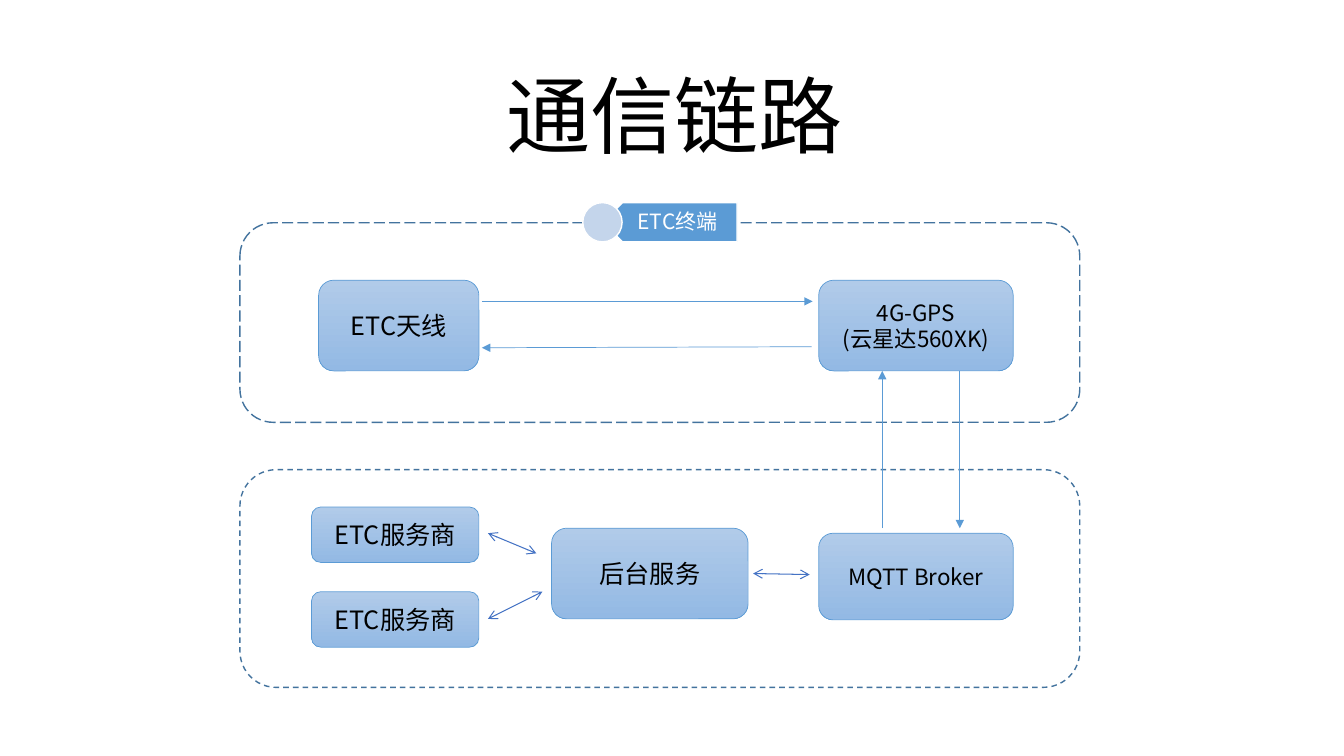
from dataclasses import dataclass

from lxml import etree
from pptx import Presentation
from pptx.dml.color import RGBColor
from pptx.enum.dml import MSO_LINE
from pptx.enum.shapes import MSO_CONNECTOR, MSO_SHAPE
from pptx.enum.text import MSO_ANCHOR, PP_ALIGN
from pptx.oxml.ns import qn
from pptx.util import Inches, Pt

ROUNDED = MSO_SHAPE.ROUNDED_RECTANGLE
PENTAGON = MSO_SHAPE.PENTAGON
OVAL = MSO_SHAPE.OVAL
STRAIGHT = MSO_CONNECTOR.STRAIGHT
LONG_DASH = MSO_LINE.LONG_DASH
DASH = MSO_LINE.DASH
CENTER = PP_ALIGN.CENTER
MIDDLE = MSO_ANCHOR.MIDDLE
BOTTOM = MSO_ANCHOR.BOTTOM


@dataclass(frozen=True)
class Theme:
    font: str = "Noto Sans CJK SC"
    text: str = "000000"
    white: str = "FFFFFF"
    frame: str = "43739E"
    accent: str = "5B9BD5"
    exchange: str = "4472C4"
    dot: str = "C4D5EB"
    box_top: str = "B1CBE9"
    box_bottom: str = "93B9E4"
    title_size: float = 60
    large_size: float = 18
    medium_size: float = 16
    tag_size: float = 15


THEME = Theme()


@dataclass(frozen=True)
class Area:
    left: float
    top: float
    width: float
    height: float

    def lengths(self) -> list:
        return [Inches(value) for value in (self.left, self.top, self.width, self.height)]


@dataclass(frozen=True)
class Node:
    text: str
    area: Area
    size: float = THEME.large_size


@dataclass(frozen=True)
class Link:
    start: tuple[float, float]
    end: tuple[float, float]
    two_way: bool = False


FRAMES = [
    (Area(2.38, 2.21, 8.33, 1.98), LONG_DASH),
    (Area(2.38, 4.66, 8.33, 2.16), DASH),
]

NODES = [
    Node("ETC天线", Area(3.16, 2.78, 1.59, 0.9)),
    Node("4G-GPS\n(云星达560XK)", Area(8.12, 2.78, 1.93, 0.9), THEME.medium_size),
    Node("ETC服务商", Area(3.09, 5.03, 1.66, 0.55)),
    Node("ETC服务商", Area(3.09, 5.87, 1.66, 0.55)),
    Node("后台服务", Area(5.47, 5.24, 1.95, 0.9)),
    Node("MQTT Broker", Area(8.12, 5.29, 1.93, 0.86), THEME.medium_size),
]

LINKS = [
    Link((4.78, 2.99), (8.06, 2.99)),
    Link((8.05, 3.44), (4.78, 3.45)),
    Link((9.52, 3.68), (9.52, 5.24)),
    Link((8.75, 5.24), (8.75, 3.68)),
    Link((7.47, 5.69), (8.03, 5.7), two_way=True),
    Link((4.84, 5.29), (5.32, 5.49), two_way=True),
    Link((4.84, 6.14), (5.38, 5.87), two_way=True),
]


def color(value: str) -> RGBColor:
    return RGBColor.from_string(value)


def write_text(shape, text: str, *, size: float, fill: str = THEME.text,
               anchor=MIDDLE, spacing: float = 1.0,
               insets: tuple = (0.1, 0.05, 0.1, 0.05)) -> None:
    frame = shape.text_frame
    frame.word_wrap = True
    frame.vertical_anchor = anchor
    frame.margin_left, frame.margin_top, frame.margin_right, frame.margin_bottom = map(Inches, insets)
    frame.text = text
    for paragraph in frame.paragraphs:
        paragraph.alignment = CENTER
        paragraph.line_spacing = spacing
        for run in paragraph.runs:
            run.font.size = Pt(size)
            run.font.name = THEME.font
            run.font.color.rgb = color(fill)
            east_asian = etree.SubElement(run.font._element, qn("a:ea"))
            east_asian.set("typeface", THEME.font)


def add_shape(slide, kind, area: Area, *, line: str, width: float = 1, fill: str | None = None):
    shape = slide.shapes.add_shape(kind, *area.lengths())
    shape.shadow.inherit = False
    shape.line.color.rgb = color(line)
    shape.line.width = Pt(width)
    if fill:
        shape.fill.solid()
        shape.fill.fore_color.rgb = color(fill)
    else:
        shape.fill.background()
    return shape


def add_label(slide, text: str, area: Area, **text_format) -> None:
    write_text(slide.shapes.add_textbox(*area.lengths()), text, **text_format)


def add_node(slide, node: Node) -> None:
    shape = add_shape(slide, ROUNDED, node.area, line=THEME.accent, width=0.5)
    shape.fill.gradient()
    shape.fill.gradient_angle = 270
    for stop, shade, position in zip(shape.fill.gradient_stops, (THEME.box_top, THEME.box_bottom), (0, 1)):
        stop.color.rgb = color(shade)
        stop.position = position
    write_text(shape, node.text, size=node.size)


def add_link(slide, link: Link) -> None:
    connector = slide.shapes.add_connector(STRAIGHT, *map(Inches, link.start + link.end))
    connector.line.color.rgb = color(THEME.exchange if link.two_way else THEME.accent)
    connector.line.width = Pt(0.75 if link.two_way else 0.5)
    outline = connector.line._get_or_add_ln()
    if link.two_way:
        etree.SubElement(outline, qn("a:headEnd")).set("type", "arrow")
    etree.SubElement(outline, qn("a:tailEnd")).set("type", "arrow" if link.two_way else "triangle")
    etree.SubElement(connector._element.spPr, qn("a:effectLst"))


def main() -> None:
    presentation = Presentation()
    presentation.slide_width = Inches(13.33)
    presentation.slide_height = Inches(7.5)
    slide = presentation.slides.add_slide(presentation.slide_layouts[6])

    # Title
    add_label(slide, "通信链路", Area(1.69, 0.63, 10, 1.06),
              size=THEME.title_size, anchor=BOTTOM, spacing=0.9)

    # Dashed frames
    for area, dash in FRAMES:
        add_shape(slide, ROUNDED, area, line=THEME.frame).line.dash_style = dash

    # Tag on the terminal frame
    tag = add_shape(slide, PENTAGON, Area(5.98, 2.01, 1.33, 0.39), line=THEME.white, fill=THEME.accent)
    tag.rotation = 180
    add_label(slide, "ETC终端", Area(6.08, 2.01, 1.23, 0.39), size=THEME.tag_size,
              fill=THEME.white, spacing=0.9, insets=(0.17, 0.06, 0.12, 0.06))
    add_shape(slide, OVAL, Area(5.78, 2.01, 0.39, 0.39), line=THEME.white, fill=THEME.dot)

    # Nodes and the links between them
    for node in NODES:
        add_node(slide, node)
    for link in LINKS:
        add_link(slide, link)

    presentation.save("out.pptx")


if __name__ == "__main__":
    main()
